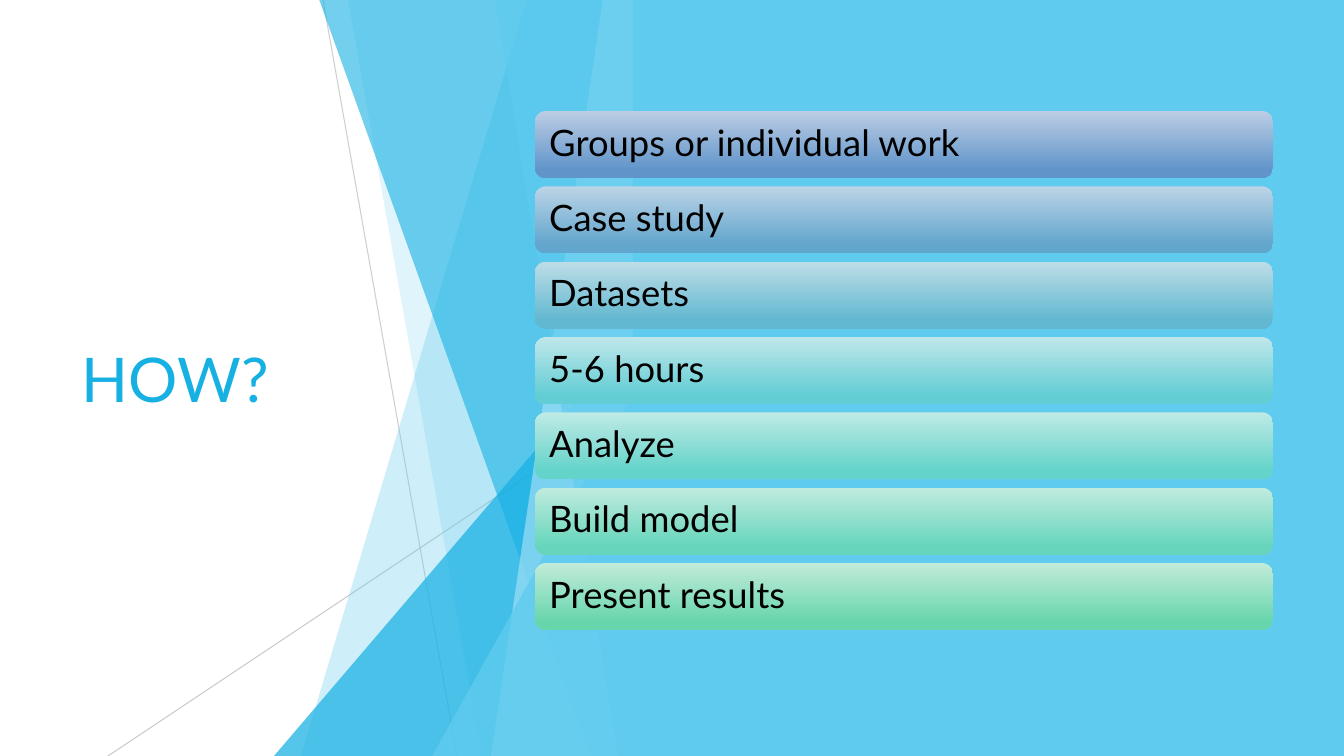
from lxml.etree import SubElement
from pptx import Presentation
from pptx.dml.color import RGBColor as RGB
from pptx.enum.shapes import MSO_CONNECTOR as Connector, MSO_SHAPE as Preset
from pptx.enum.text import MSO_ANCHOR as Anchor, PP_ALIGN as Align
from pptx.oxml.ns import qn
from pptx.util import Pt

WIDTH, HEIGHT = 1344, 756
SCALE = 12192000 / WIDTH
EDGE = 633
FONT = "Lato"
COLORS = {
    "sky": "5FCBEF",
    "blue": "16B0E3",
    "pale": "9EDFF5",
    "gray": "BFBFBF",
    "black": "000000",
}


def emu(*lengths):
    return [round(length * SCALE) for length in lengths]


def paint(shape, fill, color, opacity=100):
    fill.solid()
    fill.fore_color.rgb = RGB.from_string(COLORS[color])
    if opacity < 100:
        node = next(shape.element.spPr.iter(qn("a:srgbClr")))
        SubElement(node, qn("a:alpha"), val=str(opacity * 1000))


deck = Presentation()
deck.slide_width, deck.slide_height = emu(WIDTH, HEIGHT)
page = deck.slides.add_slide(deck.slide_layouts[6])
shapes = page.shapes

thin_lines = [
    (323, 0, 457, HEIGHT, 75),
    (EDGE, 406, 108, HEIGHT, 80),
]
for *ends, opacity in thin_lines:
    line = shapes.add_connector(Connector.STRAIGHT, *emu(*ends))
    line.line.width = Pt(0.75)
    paint(line, line.line.fill, "gray", opacity)
    SubElement(line.element.spPr, qn("a:effectLst"))

facets = [
    (527, 301, -1, "sky", 30),
    (348, 482, -1, "sky", 20),
    (EDGE, 274, 336, "blue", 72),
    (319, 591, -1, "blue", 60),
    (603, 491, -1, "pale", 70),
    (495, 618, -1, "sky", 65),
    (EDGE, 432, 396, "sky", 80),
]
for top_x, bottom_x, top, color, opacity in facets:
    if top_x == EDGE:
        bounds = emu(bottom_x, top, EDGE - bottom_x, HEIGHT - top)
        facet = shapes.add_shape(Preset.ISOSCELES_TRIANGLE, *bounds)
        facet.adjustments[0] = 1
    else:
        outline = shapes.build_freeform(top_x, top, scale=SCALE)
        outline.add_line_segments([(EDGE, top), (EDGE, HEIGHT), (bottom_x, HEIGHT)])
        facet = outline.convert_to_shape()
    facet.shadow.inherit = False
    facet.line.fill.background()
    paint(facet, facet.fill, color, opacity)

panel = shapes.add_shape(Preset.RECTANGLE, *emu(EDGE, 0, WIDTH - EDGE, HEIGHT))
panel.shadow.inherit = False
panel.line.fill.background()
paint(panel, panel.fill, "sky")

title = shapes.add_textbox(*emu(72, 152, 391, 452)).text_frame
title.word_wrap = True
title.vertical_anchor = Anchor.MIDDLE
para = title.paragraphs[0]
para.text = "HOW?"
para.font.name = FONT
para.font.size = Pt(44)
para.font.color.rgb = RGB.from_string(COLORS["blue"])

cards = [
    ("Groups or individual work", "BCCDE4", "6195CA"),
    ("Case study", "BCD4E6", "62A5CD"),
    ("Datasets", "BDDDE7", "62B8D0"),
    ("5-6 hours", "BFE7EA", "62CDD4"),
    ("Analyze", "BFEAE5", "64D4CA"),
    ("Build model", "C0EBDF", "66D5BB"),
    ("Present results", "C1EBD9", "68D6AD"),
]
FIRST_TOP, LAST_TOP = 111, 563
pitch = (LAST_TOP - FIRST_TOP) / (len(cards) - 1)
for index, (text, light, dark) in enumerate(cards):
    card = shapes.add_shape(
        Preset.ROUNDED_RECTANGLE, *emu(535, FIRST_TOP + index * pitch, 738, 67)
    )
    card.shadow.inherit = False
    card.line.fill.background()
    card.fill.gradient()
    card.fill.gradient_angle = 270
    start, end = card.fill.gradient_stops
    start.color.rgb = RGB.from_string(light)
    end.color.rgb = RGB.from_string(dark)
    end.position = 0.88

    frame = card.text_frame
    frame.word_wrap = True
    frame.vertical_anchor = Anchor.MIDDLE
    frame.margin_left, frame.margin_right = emu(11, 11)
    para = frame.paragraphs[0]
    para.text = text
    para.alignment = Align.LEFT
    para.line_spacing = 0.9
    para.font.name = FONT
    para.font.size = Pt(26)
    para.font.color.rgb = RGB.from_string(COLORS["black"])

deck.save("out.pptx")
